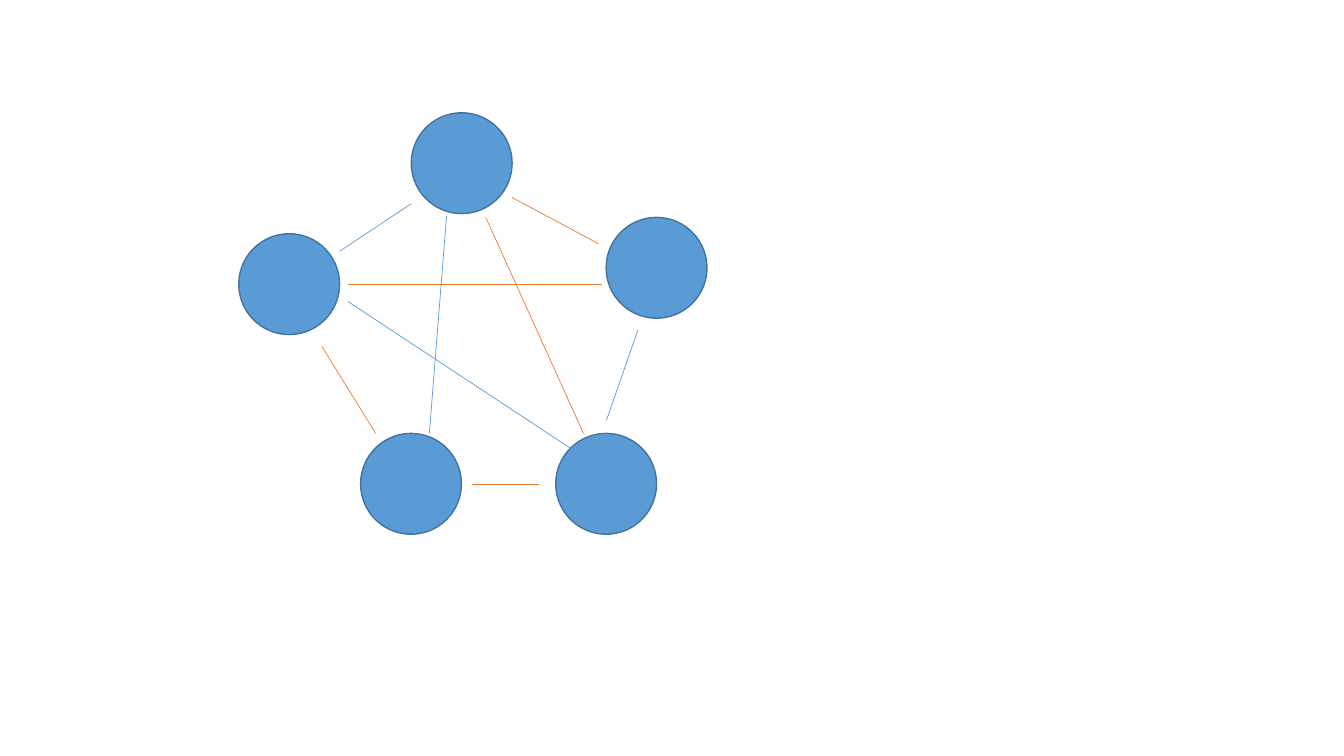
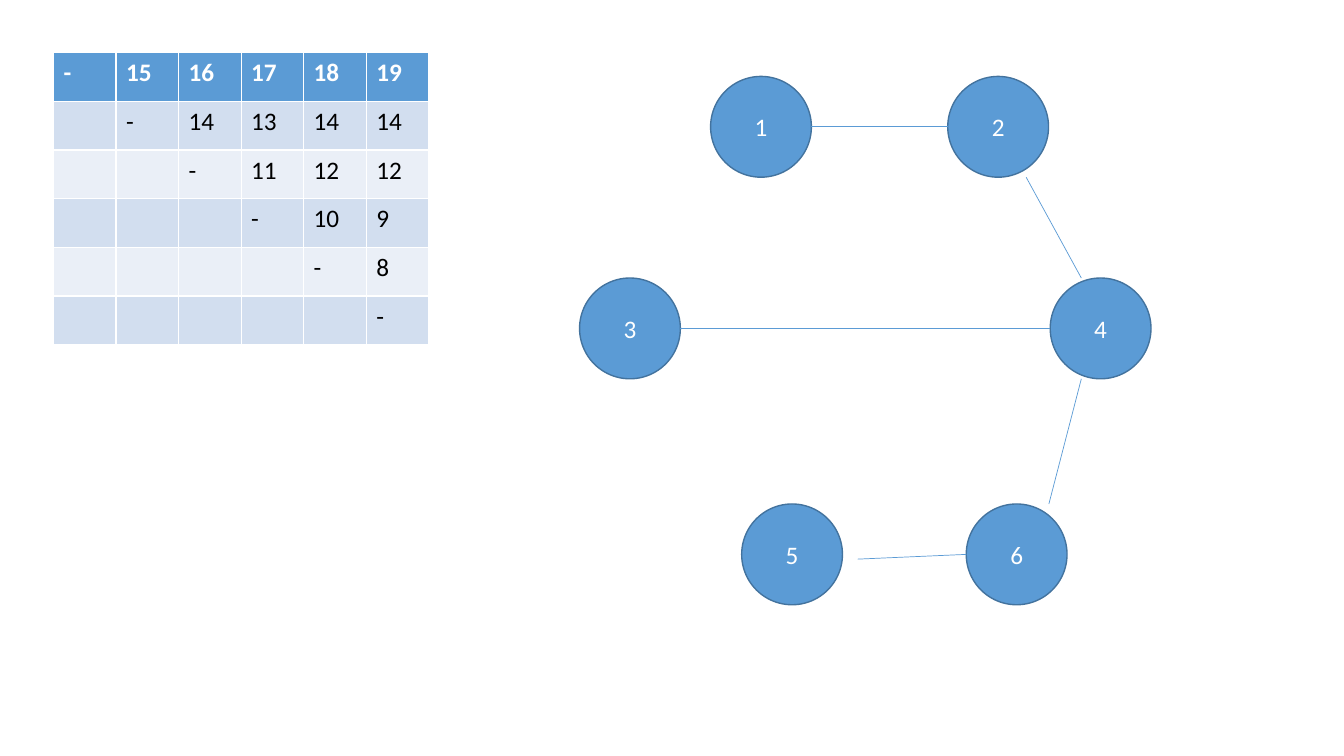
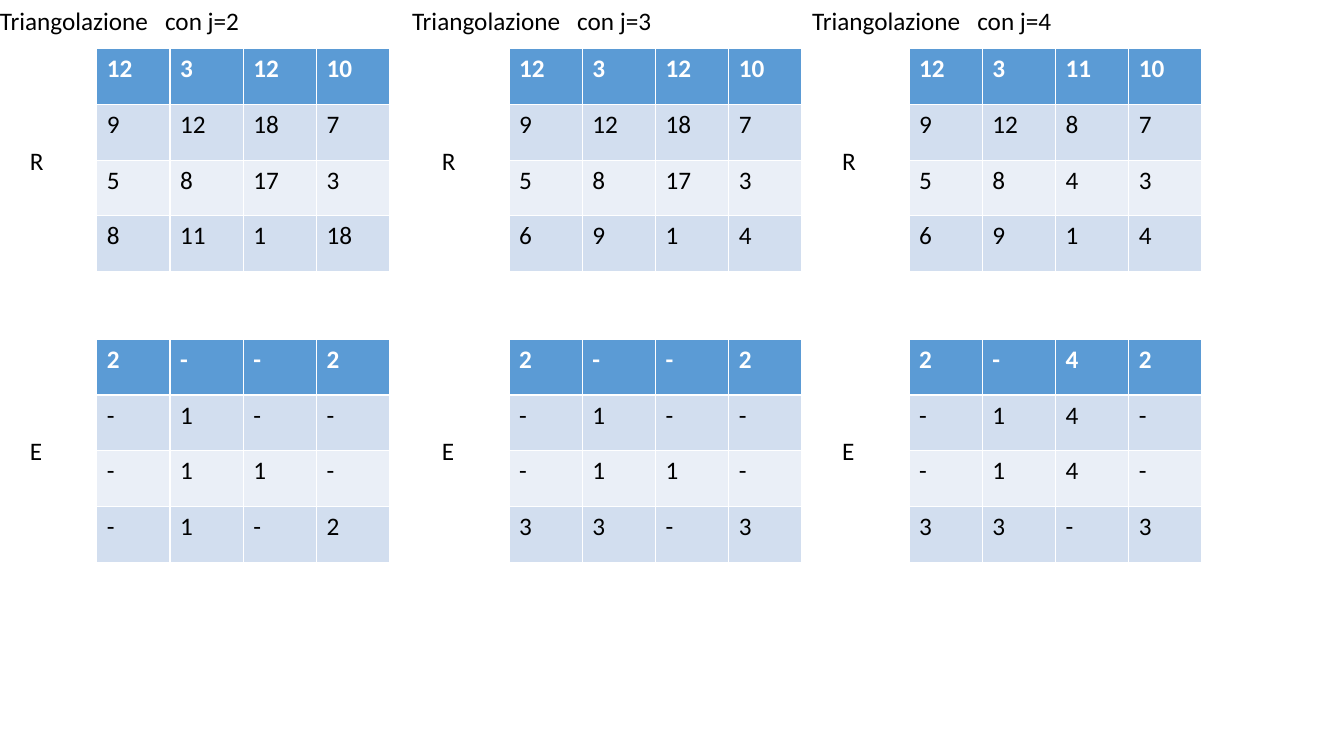
from lxml.etree import SubElement
from pptx import Presentation
from pptx.dml.color import RGBColor
from pptx.enum.shapes import MSO_CONNECTOR, MSO_SHAPE
from pptx.enum.text import MSO_ANCHOR, PP_ALIGN
from pptx.oxml import parse_xml
from pptx.oxml.ns import nsdecls, qn
from pptx.util import Pt

COLORS = {
    "blue": "5B9BD5",
    "outline": "43739E",
    "orange": "ED7D31",
    "odd_row": "D2DEEF",
    "even_row": "EAEFF7",
    "white": "FFFFFF",
    "black": "000000",
}


class Deck:
    """Holds the shared style and the slide being filled; lengths are points."""

    font_name = "Calibri"
    font_size = 18
    node_size = 72

    def __init__(self):
        self.presentation = Presentation()
        self.presentation.slide_width = Pt(960)
        self.presentation.slide_height = Pt(540)
        self.slide = None

    def new_slide(self):
        blank_layout = self.presentation.slide_layouts[6]
        self.slide = self.presentation.slides.add_slide(blank_layout)

    def color(self, name):
        return RGBColor.from_string(COLORS[name])

    def fill(self, target, name):
        target.fill.solid()
        target.fill.fore_color.rgb = self.color(name)

    def set_text(self, paragraph, text, color="black", bold=False):
        paragraph.text = text
        paragraph.font.name = self.font_name
        paragraph.font.size = Pt(self.font_size)
        paragraph.font.bold = bold
        paragraph.font.color.rgb = self.color(color)

    def node(self, left, top, text=""):
        shape = self.slide.shapes.add_shape(
            MSO_SHAPE.OVAL, Pt(left), Pt(top), Pt(self.node_size), Pt(self.node_size))
        shape.shadow.inherit = False
        self.fill(shape, "blue")
        shape.line.color.rgb = self.color("outline")
        shape.line.width = Pt(1)
        if text:
            shape.text_frame.vertical_anchor = MSO_ANCHOR.MIDDLE
            paragraph = shape.text_frame.paragraphs[0]
            paragraph.alignment = PP_ALIGN.CENTER
            self.set_text(paragraph, text, "white")

    def edge(self, start_x, start_y, end_x, end_y, color="blue"):
        connector = self.slide.shapes.add_connector(
            MSO_CONNECTOR.STRAIGHT, Pt(start_x), Pt(start_y), Pt(end_x), Pt(end_y))
        connector.line.color.rgb = self.color(color)
        connector.line.width = Pt(0.5)
        SubElement(connector._element.spPr, qn("a:effectLst"))

    def label(self, left, top, width, text, tab_stop=None):
        box = self.slide.shapes.add_textbox(Pt(left), Pt(top), Pt(width), Pt(29))
        box.text_frame.word_wrap = True
        paragraph = box.text_frame.paragraphs[0]
        self.set_text(paragraph, text)
        if tab_stop:
            tabs = parse_xml(f'<a:tabLst {nsdecls("a")}>'
                             f'<a:tab pos="{Pt(tab_stop)}" algn="l"/></a:tabLst>')
            paragraph._p.get_or_add_pPr().insert(0, tabs)

    def matrix(self, left, top, column_width, row_height, rows):
        """Add a square table; short rows are filled with empty cells on the left."""
        size = len(rows)
        table = self.slide.shapes.add_table(
            size, size, Pt(left), Pt(top),
            Pt(column_width * size), Pt(row_height * size)).table
        for column in table.columns:
            column.width = Pt(column_width)
        for row_index, line in enumerate(rows):
            table.rows[row_index].height = Pt(row_height)
            values = line.split()
            values = [""] * (size - len(values)) + values
            header = row_index == 0
            band = "blue" if header else "odd_row" if row_index % 2 else "even_row"
            for column_index, value in enumerate(values):
                cell = table.cell(row_index, column_index)
                self.fill(cell, band)
                self.set_text(cell.text_frame.paragraphs[0], value,
                              "white" if header else "black", header)


def add_complete_graph(deck):
    deck.new_slide()
    for left, top in [(170.6, 167), (397, 309.6), (257.6, 309.6),
                      (433, 155.3), (293.8, 80.6)]:
        deck.node(left, top)
    edges = {
        "blue": [(242.6, 179.5, 293.8, 145.5), (455.8, 235.4, 433.2, 300.2),
                 (319, 154.1, 306.7, 309.6), (248.4, 215.3, 407.5, 320.2)],
        "orange": [(365.8, 141.1, 427.7, 174.2), (384.8, 345.8, 337.4, 345.8),
                   (229.8, 247.3, 268.4, 309.6), (347, 155.3, 416.8, 309.6),
                   (248.4, 203.2, 429.8, 203.2)],
    }
    for color, lines in edges.items():
        for line in lines:
            deck.edge(*line, color)


def add_savings_tour(deck):
    deck.new_slide()
    deck.matrix(38.2, 37.6, 44.7, 34.8, [
        "- 15 16 17 18 19",
        "- 14 13 14 14",
        "- 11 12 12",
        "- 10 9",
        "- 8",
        "-",
    ])
    nodes = [(507.6, 54.6), (677, 54.6), (414, 198.6),
             (750.2, 198.6), (529.8, 360), (690.2, 360)]
    for number, (left, top) in enumerate(nodes, 1):
        deck.node(left, top, str(number))
    for line in [(612.7, 399.4, 690.2, 396), (772.4, 270.6, 749.2, 360),
                 (486, 234.6, 750.2, 234.6), (733, 126.6, 772.4, 198.6),
                 (579.6, 90.6, 677, 90.6)]:
        deck.edge(*line)


def add_triangulations(deck):
    deck.new_slide()
    steps = [
        (2, -7.2,
         ["12 3 12 10", "9 12 18 7", "5 8 17 3", "8 11 1 18"],
         ["2 - - 2", "- 1 - -", "- 1 1 -", "- 1 - 2"]),
        (3, 287.2,
         ["12 3 12 10", "9 12 18 7", "5 8 17 3", "6 9 1 4"],
         ["2 - - 2", "- 1 - -", "- 1 1 -", "3 3 - 3"]),
        (4, 573,
         ["12 3 11 10", "9 12 8 7", "5 8 4 3", "6 9 1 4"],
         ["2 - 4 2", "- 1 4 -", "- 1 4 -", "3 3 - 3"]),
    ]
    for step, left, distances, predecessors in steps:
        deck.label(left, 0, 192, f"Triangolazione\tcon j={step}", tab_stop=118)
        for name, top, rows in [("R", 34.8, distances), ("E", 242.4, predecessors)]:
            deck.matrix(left + 76.4, top, 52.3, 39.8, rows)
            deck.label(left + 21.4, top + 65.2, 25, name)


def main():
    deck = Deck()
    add_complete_graph(deck)
    add_savings_tour(deck)
    add_triangulations(deck)
    deck.presentation.save("out.pptx")


if __name__ == "__main__":
    main()
